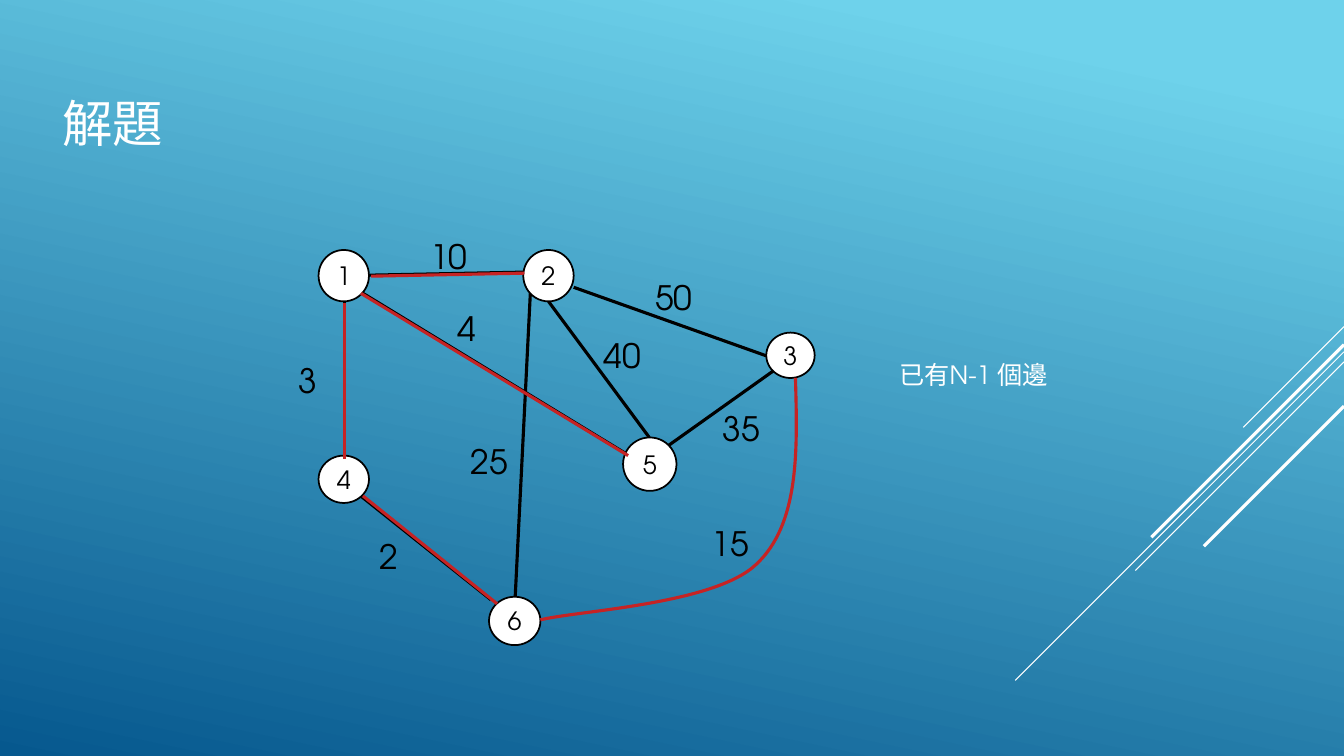
from lxml import etree
from pptx import Presentation
from pptx.dml.color import RGBColor
from pptx.enum.shapes import MSO_CONNECTOR, MSO_SHAPE
from pptx.enum.text import MSO_ANCHOR, MSO_AUTO_SIZE, PP_ALIGN
from pptx.oxml.ns import qn
from pptx.util import Pt

PX = 9144  # 100 px to the inch
FONT = "TeX Gyre Adventor"
STRAIGHT = MSO_CONNECTOR.STRAIGHT
OVAL = MSO_SHAPE.OVAL
MIDDLE, TOP = MSO_ANCHOR.MIDDLE, MSO_ANCHOR.TOP
GROW, FIXED = MSO_AUTO_SIZE.SHAPE_TO_FIT_TEXT, MSO_AUTO_SIZE.NONE
CENTER = PP_ALIGN.CENTER
COLORS = {name: RGBColor.from_string(value) for name, value in {
    "white": "FFFFFF", "black": "000000", "red": "C62324",
    "sky": "6ED2EB", "deep": "06588E"}.items()}


def add_line(points, color, width):
    c = s.shapes.add_connector(STRAIGHT, *(v * PX for v in points))
    c.line.color.rgb = COLORS[color]
    c.line.width = Pt(width)
    etree.SubElement(c._element.spPr, qn("a:effectLst"))


def write(sp, text, size, color, **frame):
    """Fill a shape with one paragraph; frame holds text frame settings."""
    tf = sp.text_frame
    for name, value in {"word_wrap": True, **frame}.items():
        setattr(tf, name, value)
    p = tf.paragraphs[0]
    r = p.add_run()
    r.text = text
    for name, value in {"name": FONT, "size": Pt(size)}.items():
        setattr(r.font, name, value)
    r.font.color.rgb = COLORS[color]
    return p


prs = Presentation()
prs.slide_width, prs.slide_height = 1333 * PX, 750 * PX
s = prs.slides.add_slide(prs.slide_layouts[6])

# Background gradient
fill = s.background.fill
fill.gradient()
fill.gradient_angle = 258
for stop, (position, color) in zip(fill.gradient_stops, [(0.1, "sky"), (1, "deep")]):
    stop.position = position
    stop.color.rgb = COLORS[color]

# Diagonal streaks running off the right edge at 45 degrees
for top, run, width in [(324, 100, 0.75), (349, 326, 0.75), (359, 207, 0.75),
                        (342, 191, 2.25), (403, 139, 2.25)]:
    add_line((1333, top, 1333 - run, top + run), "white", width)

# Title and remark
title = s.shapes.add_textbox(52 * PX, 39 * PX, 933 * PX, 165 * PX)
write(title, "解題", 36, "white", vertical_anchor=MIDDLE, auto_size=FIXED)
remark = s.shapes.add_textbox(882 * PX, 352 * PX, 318 * PX, 40 * PX)
write(remark, "已有N-1 個邊", 18, "white", vertical_anchor=TOP, auto_size=GROW)

# All edges of the graph
for edge in [(354, 489, 487, 595), (342, 452, 342, 299), (360, 291, 624, 452),
             (367, 273, 519, 270), (569, 285, 760, 353), (544, 299, 644, 434),
             (526, 291, 511, 592), (767, 368, 663, 442)]:
    add_line(edge, "black", 2.25)

# Nodes
for name, x, y, w, h in [("1", 316, 248, 50, 51), ("2", 519, 248, 50, 51),
                         ("3", 760, 330, 48, 45), ("4", 316, 452, 50, 47),
                         ("5", 618, 434, 53, 53), ("6", 485, 592, 51, 48)]:
    node = s.shapes.add_shape(OVAL, x * PX, y * PX, w * PX, h * PX)
    node.shadow.inherit = False
    node.fill.solid()
    node.fill.fore_color.rgb = COLORS["white"]
    node.line.color.rgb = COLORS["black"]
    node.line.width = Pt(1.25)
    p = write(node, name, 18, "black", vertical_anchor=MIDDLE, margin_left=0,
              margin_right=0, margin_top=0, margin_bottom=0)
    p.alignment = CENTER

# Chosen edges of the spanning tree
for edge in [(360, 492, 493, 599), (342, 455, 342, 301),
             (358, 291, 623, 452), (368, 274, 520, 271)]:
    add_line(edge, "red", 2.25)

# Chosen curved edge from 3 to 6: each three points form one Bezier segment
builder = s.shapes.build_freeform(789, 375, scale=PX)
builder.add_line_segments([(791, 447), (793, 520), (750, 560),
                           (708, 600), (571, 606), (536, 615)], close=False)
curve = builder.convert_to_shape()
curve.shadow.inherit = False
curve.fill.background()
curve.line.color.rgb = COLORS["red"]
curve.line.width = Pt(2.25)
outline = next(curve._element.iter(qn("a:path")))
segments = outline.findall(qn("a:lnTo"))
for i in range(0, len(segments), 3):
    bezier = etree.SubElement(outline, qn("a:cubicBezTo"))
    for segment in segments[i:i + 3]:
        bezier.append(segment[0])
        outline.remove(segment)

# Edge weights
for weight, x, y, w in [("50", 640, 270, 77), ("25", 457, 433, 77), ("2", 367, 527, 77),
                        ("3", 286, 352, 77), ("10", 417, 229, 77), ("15", 696, 514, 67),
                        ("40", 589, 327, 67), ("4", 444, 301, 58), ("35", 707, 400, 77)]:
    label = s.shapes.add_textbox(x * PX, y * PX, w * PX, 50 * PX)
    write(label, weight, 24, "black", vertical_anchor=TOP, auto_size=GROW)

prs.save("out.pptx")
